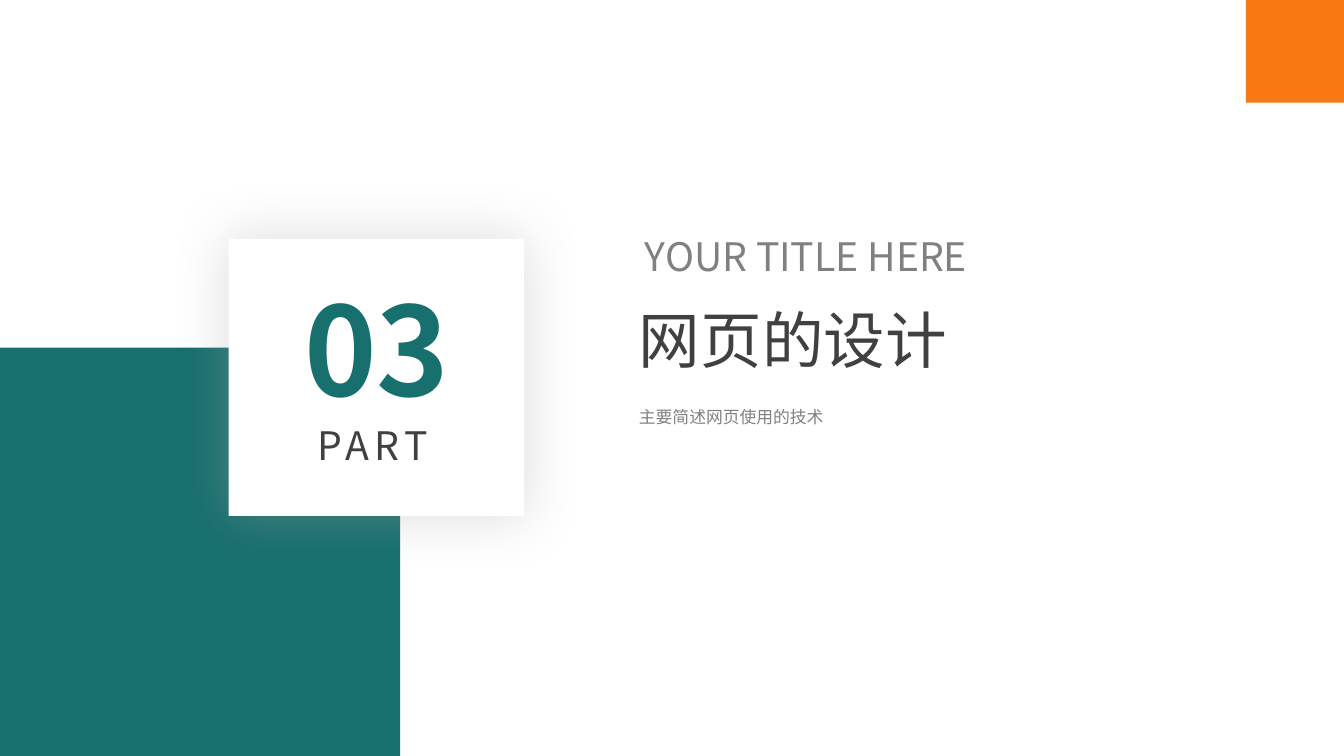
from lxml import etree
from pptx import Presentation
from pptx import util as u
from pptx.dml import color as c
from pptx.enum import shapes, text
from pptx.oxml import ns


def rgb(value):
    return c.RGBColor.from_string(value)


class SectionSlide:
    teal = "176F6E"
    orange = "FA7812"
    white = "FFFFFF"
    dark = "404040"
    gray = "808080"
    shadow_gray = "A6A6A6"
    sans = "Noto Sans CJK SC"
    heading = "Noto Sans CJK JP"

    def __init__(self, presentation):
        self.slide = presentation.slides.add_slide(presentation.slide_layouts[6])
        background = self.slide.background.fill
        background.solid()
        background.fore_color.rgb = rgb(self.white)

    def block(self, left, top, width, height, fill, rotation=0):
        shape = self.slide.shapes.add_shape(
            shapes.MSO_SHAPE.RECTANGLE, u.Pt(left), u.Pt(top), u.Pt(width), u.Pt(height))
        shape.shadow.inherit = False
        shape.fill.solid()
        shape.fill.fore_color.rgb = rgb(fill)
        shape.line.fill.background()
        shape.rotation = rotation
        return shape

    def glow_shadow(self, shape, blur, opacity):
        effects = shape._element.spPr.find(ns.qn("a:effectLst"))
        shadow = etree.SubElement(
            effects, ns.qn("a:outerShdw"), blurRad=str(u.Pt(blur)), dist="0", dir="0",
            algn="ctr", rotWithShape="0")
        tint = etree.SubElement(shadow, ns.qn("a:srgbClr"), val=self.shadow_gray)
        etree.SubElement(tint, ns.qn("a:alpha"), val=str(opacity * 1000))

    def label(self, left, top, width, height, words, size, color, font=None, bold=False,
              align=None, wrap=True, grow=True, line_spacing=None, tracking=0):
        box = self.slide.shapes.add_textbox(u.Pt(left), u.Pt(top), u.Pt(width), u.Pt(height))
        frame = box.text_frame
        frame.word_wrap = wrap
        sizing = text.MSO_AUTO_SIZE
        frame.auto_size = sizing.SHAPE_TO_FIT_TEXT if grow else sizing.NONE
        paragraph = frame.paragraphs[0]
        paragraph.alignment = align
        paragraph.line_spacing = line_spacing
        run = paragraph.add_run()
        run.text = words
        run.font.size = u.Pt(size)
        run.font.bold = bold
        run.font.color.rgb = rgb(color)
        run.font.name = font or self.sans
        properties = run.font._element
        etree.SubElement(properties, ns.qn("a:ea"), typeface=font or self.sans)
        if tracking:
            properties.set("spc", str(tracking * 100))


def main():
    presentation = Presentation()
    presentation.slide_width = u.Pt(960)
    presentation.slide_height = u.Pt(540)
    section = SectionSlide(presentation)
    justify = text.PP_ALIGN.JUSTIFY

    section.block(0, 248.4, 285.8, 293, section.teal)
    card = section.block(163.4, 170.6, 211, 198, section.white)
    section.glow_shadow(card, blur=40, opacity=40)
    section.block(888.5, 1.4, 73.4, 70.6, section.orange, rotation=270)

    section.label(210.2, 191.5, 119.5, 113.8, "03", 88, section.teal, bold=True, wrap=False)
    section.label(219.6, 297.4, 107.3, 41, "PART", 28, section.dark, align=justify, tracking=4)
    section.label(449.3, 212.4, 361.4, 60.5, "网页的设计", 44, section.dark, section.heading)
    section.label(453.6, 162.7, 264.2, 42.5, "YOUR TITLE HERE", 28, section.gray,
                  align=justify, grow=False)
    section.label(449.3, 280.1, 385.2, 28.8, "主要简述网页使用的技术", 12, section.gray,
                  line_spacing=1.5)

    presentation.save("out.pptx")


if __name__ == "__main__":
    main()
